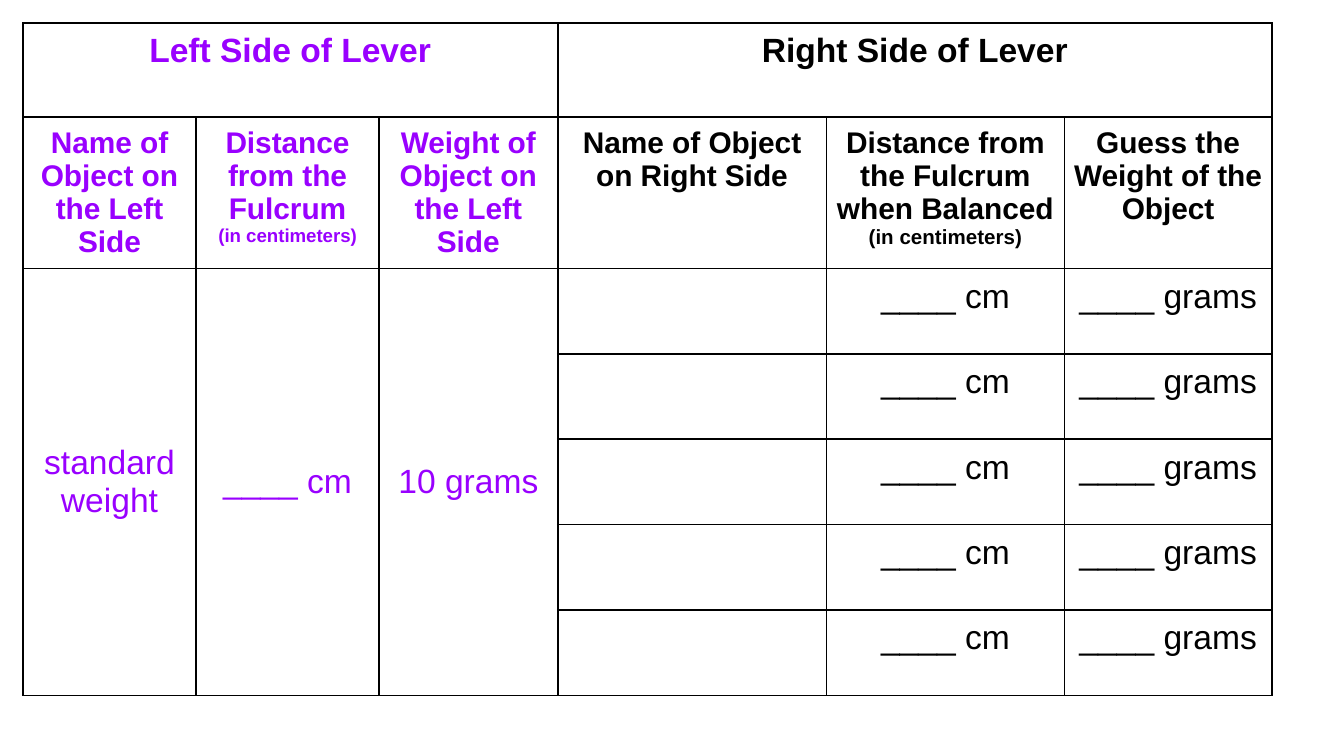
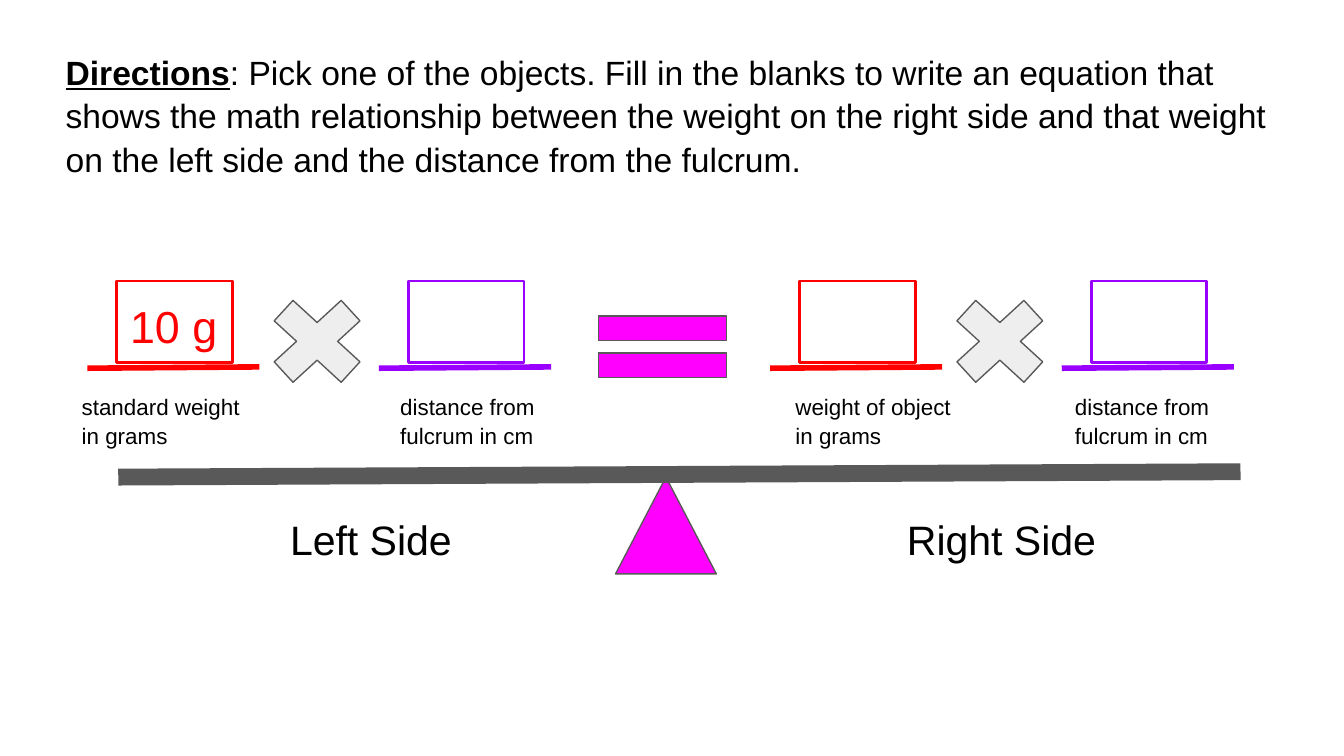
from lxml import etree
from pptx import Presentation
from pptx import util as u
from pptx.dml.color import RGBColor
from pptx.enum import shapes, text
from pptx.oxml import ns

BLACK, WHITE, GREY, PALE = "000000", "FFFFFF", "595959", "EEEEEE"
PURPLE, RED, PINK = "9900FF", "FF0000", "FF00FF"
SHAPE = shapes.MSO_SHAPE


def rgb(value):
    return RGBColor.from_string(value)


class Deck:
    """Style and current slide; lengths are grid cells, 100 across and 56.25 down."""

    font = "Arial"
    cell = u.Inches(0.1)

    def __init__(self):
        self.prs = Presentation()
        self.prs.slide_width, self.prs.slide_height = self.grid(100, 56.25)
        self.s = None

    def grid(self, *cells):
        return [u.Emu(round(n * self.cell)) for n in cells]

    def slide(self):
        self.s = self.prs.slides.add_slide(self.prs.slide_layouts[6])
        fill = self.s.background.fill
        fill.solid()
        fill.fore_color.rgb = rgb(WHITE)

    def run(self, p, words, size, color=BLACK, bold=False, underline=False):
        r = p.add_run()
        r.text = words
        f = r.font
        f.name, f.size, f.bold, f.underline = self.font, u.Pt(size), bold, underline
        f.color.rgb = rgb(color)

    def add_text(self, sp, *runs):
        tf = sp.text_frame
        tf.word_wrap = True
        tf.vertical_anchor = text.MSO_ANCHOR.TOP
        tf.margin_left = tf.margin_right = tf.margin_top = tf.margin_bottom = self.cell
        p = tf.paragraphs[0]
        p.alignment = text.PP_ALIGN.LEFT
        p.line_spacing = 1.08
        for words, style in runs:
            self.run(p, words, **style)

    def textbox(self, at, *runs):
        self.add_text(self.s.shapes.add_textbox(*self.grid(*at)), *runs)

    def shape(self, kind, at, line, width=0.75, fill=None, adjust=()):
        sp = self.s.shapes.add_shape(kind, *self.grid(*at))
        sp.shadow.inherit = False
        if fill:
            sp.fill.solid()
            sp.fill.fore_color.rgb = rgb(fill)
        else:
            sp.fill.background()
        sp.line.color.rgb = rgb(line)
        sp.line.width = u.Pt(width)
        for i, value in enumerate(adjust):
            sp.adjustments[i] = value
        return sp

    def line(self, ends, color, width):
        cn = self.s.shapes.add_connector(shapes.MSO_CONNECTOR.STRAIGHT, *self.grid(*ends))
        cn.line.color.rgb = rgb(color)
        cn.line.width = u.Pt(width)
        etree.SubElement(cn._element.spPr, ns.qn("a:effectLst"))

    def table(self, at, columns, rows):
        size = self.grid(sum(columns), sum(rows))
        table = self.s.shapes.add_table(len(rows), len(columns), *self.grid(*at), *size).table
        table.first_row = table.horz_banding = False
        for column, width in zip(table.columns, self.grid(*columns)):
            column.width = width
        for row, height in zip(table.rows, self.grid(*rows)):
            row.height = height
        for c in table.iter_cells():
            c.fill.background()
            c.margin_left = c.margin_right = c.margin_top = c.margin_bottom = u.Pt(5)
            self.borders(c)
        return table

    def borders(self, c):
        tc_pr = c._tc.get_or_add_tcPr()
        for i, side in enumerate(("lnL", "lnR", "lnT", "lnB")):
            ln = etree.Element(ns.qn(f"a:{side}"), w=str(u.Pt(1)))
            fill = etree.SubElement(ln, ns.qn("a:solidFill"))
            etree.SubElement(fill, ns.qn("a:srgbClr"), val=BLACK)
            tc_pr.insert(i, ln)

    def fill_cell(self, c, color, *lines, bold=False, middle=False):
        c.vertical_anchor = text.MSO_ANCHOR.MIDDLE if middle else text.MSO_ANCHOR.TOP
        for i, (words, size) in enumerate(lines):
            tf = c.text_frame
            p = tf.add_paragraph() if i else tf.paragraphs[0]
            p.alignment = text.PP_ALIGN.CENTER
            self.run(p, words, size, color, bold)


def lever_table(deck):
    deck.slide()
    t = deck.table((1.7, 1.7), (12.9, 13.6, 13.3, 20, 17.7, 15.45),
                   (7, 11.2) + (6.36,) * 5)

    # Side titles, each over three columns
    for col, title, color in ((0, "Left Side of Lever", PURPLE),
                              (3, "Right Side of Lever", BLACK)):
        t.cell(0, col).merge(t.cell(0, col + 2))
        deck.fill_cell(t.cell(0, col), color, (title, 18), bold=True)

    # Column heads, some with a smaller unit line
    unit = "(in centimeters)"
    heads = (
        [("Name of Object on the Left Side", 16)],
        [("Distance from the Fulcrum", 16), (unit, 10)],
        [("Weight of Object on the Left Side", 16)],
        [("Name of Object on Right Side", 16)],
        [("Distance from the Fulcrum when Balanced", 16), (unit, 11)],
        [("Guess the Weight of the Object", 16)],
    )
    for col, lines in enumerate(heads):
        deck.fill_cell(t.cell(1, col), PURPLE if col < 3 else BLACK, *lines, bold=True)

    # Fixed left side, blanks on the right
    for col, words in enumerate(("standard weight", "____ cm", "10 grams")):
        t.cell(2, col).merge(t.cell(6, col))
        deck.fill_cell(t.cell(2, col), PURPLE, (words, 18), middle=True)
    for row in range(2, 7):
        for col, words in ((4, "____ cm"), (5, "____ grams")):
            deck.fill_cell(t.cell(row, col), BLACK, (words, 18))


def lever_equation(deck):
    deck.slide()

    # Directions
    deck.textbox((3.9, 2.6, 93, 11.1),
                 ("Directions", dict(size=18, bold=True, underline=True)),
                 (": Pick one of the objects. Fill in the blanks to write an equation that "
                  "shows the math relationship between the weight on the right side and that "
                  "weight on the left side and the distance from the fulcrum.", dict(size=18)))

    # Lever on its fulcrum, with the equals sign above
    deck.shape(SHAPE.ISOSCELES_TRIANGLE, (45.8, 35.5, 7.5, 7.2), GREY, fill=PINK)
    deck.line((8.8, 35.5, 92.3, 35.1), GREY, 9)
    deck.shape(SHAPE.MATH_EQUAL, (42.8, 21.9, 13, 7.8), GREY, fill=PINK,
               adjust=(0.235, 0.118))

    # Each side: weight times distance
    distance = "distance from fulcrum in cm"
    sides = (
        (6.5, "Left Side", 20.6, ((5.1, "standard weight in grams"), (28.8, distance))),
        (57.3, "Right Side", 66.5, ((58.2, "weight of object in grams"), (79, distance))),
    )
    boxes = []
    for left, name, name_x, labels in sides:
        deck.shape(SHAPE.MATH_MULTIPLY, (left + 12.3, 21, 9.6, 8.8), GREY, fill=PALE,
                   adjust=(0.235,))
        for i, (color, (label_x, label)) in enumerate(zip((RED, PURPLE), labels)):
            x = left + 21.7 * i
            boxes.append(deck.shape(SHAPE.RECTANGLE, (x + 2.2, 20.9, 8.6, 6.1), color, 1.5))
            deck.line((x, 27.4, x + 12.8, 27.3), color, 3)
            deck.textbox((label_x, 28.1, 15, 6.1), (label, dict(size=12)))
        deck.textbox((name_x, 37, 21.9, 5.7), (name, dict(size=22)))

    # Known weight
    deck.add_text(boxes[0], ("10 g", dict(size=24, color=RED)))


def main():
    deck = Deck()
    lever_table(deck)
    lever_equation(deck)
    deck.prs.save("out.pptx")


if __name__ == "__main__":
    main()
